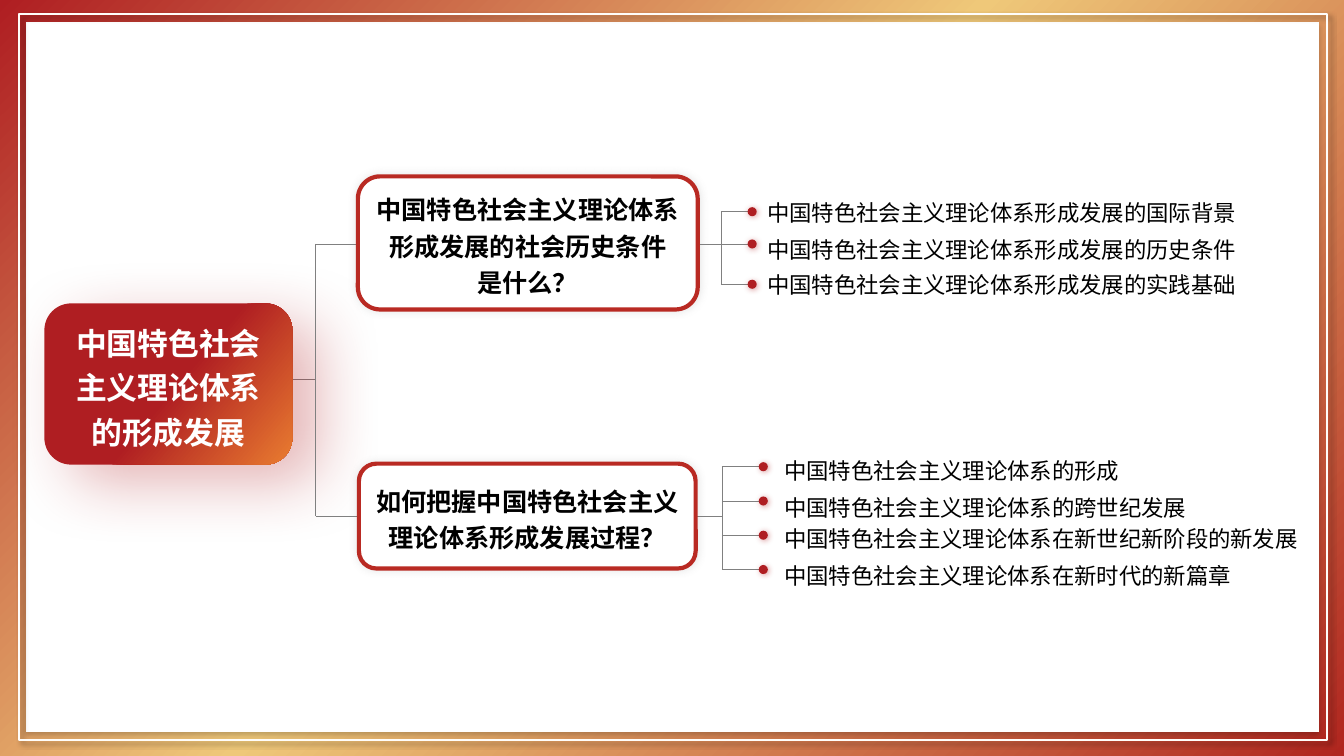
from dataclasses import dataclass
from typing import Optional

from lxml.etree import SubElement
from pptx import Presentation
from pptx.dml.color import RGBColor
from pptx.enum.shapes import MSO_CONNECTOR as Connector
from pptx.enum.shapes import MSO_SHAPE as Preset
from pptx.enum.text import MSO_ANCHOR as Anchor
from pptx.enum.text import PP_ALIGN as Align
from pptx.oxml.ns import qn
from pptx.util import Inches, Pt

FONT = "Noto Sans CJK SC"
RED, ORANGE, BORDER = "AF1E22", "E97C30", "B92A23"
WHITE, BLACK, GRAY = "FFFFFF", "000000", "808080"
DOT_SIZE = 0.09
TRUNK_X = 3.13


@dataclass
class Shadow:
    color: str
    opacity: int
    blur: float
    distance: float
    angle: int


@dataclass
class Gradient:
    stops: list[tuple[int, str]]
    angle: int


@dataclass
class Area:
    left: float
    top: float
    width: float
    height: float

    def lengths(self) -> list[int]:
        return [Inches(n) for n in (self.left, self.top, self.width, self.height)]


@dataclass
class Topic:
    text: str
    line_y: float
    text_top: float


@dataclass
class Branch:
    question: list[str]
    area: Area
    stem_y: float
    spine_x: float
    dot_x: float
    text_left: float
    text_width: float
    text_height: float
    spacing: float
    topics: list[Topic]


BRANCHES = [
    Branch(
        ["中国特色社会主义理论体系形成发展的社会历史条件", "是什么？"],
        Area(3.55, 1.75, 3.37, 1.32), 2.42, 7.15, 7.46, 7.51, 5.41, 0.37, 1.0,
        [
            Topic("中国特色社会主义理论体系形成发展的国际背景", 2.1, 1.93),
            Topic("中国特色社会主义理论体系形成发展的历史条件", 2.42, 2.29),
            Topic("中国特色社会主义理论体系形成发展的实践基础", 2.82, 2.64),
        ],
    ),
    Branch(
        ["如何把握中国特色社会主义理论体系形成发展过程？"],
        Area(3.56, 4.6, 3.34, 1.04), 5.12, 7.16, 7.57, 7.68, 5.49, 0.46, 1.5,
        [
            Topic("中国特色社会主义理论体系的形成", 4.63, 4.35),
            Topic("中国特色社会主义理论体系的跨世纪发展", 4.97, 4.72),
            Topic("中国特色社会主义理论体系在新世纪新阶段的新发展", 5.31, 5.03),
            Topic("中国特色社会主义理论体系在新时代的新篇章", 5.65, 5.39),
        ],
    ),
]


def rgb(color: str) -> RGBColor:
    return RGBColor.from_string(color)


def add_gradient(shape, gradient: Gradient) -> None:
    shape.fill.gradient()
    grad = shape._element.spPr.find(qn("a:gradFill"))
    for child in list(grad):
        grad.remove(child)
    stops = SubElement(grad, qn("a:gsLst"))
    for position, color in gradient.stops:
        stop = SubElement(stops, qn("a:gs"), pos=str(position * 1000))
        SubElement(stop, qn("a:srgbClr"), val=color)
    SubElement(grad, qn("a:lin"), ang=str(gradient.angle * 60000), scaled="0")


def add_shadow(shape, shadow: Shadow) -> None:
    effects = shape._element.spPr.find(qn("a:effectLst"))
    outer = SubElement(
        effects, qn("a:outerShdw"), blurRad=str(Pt(shadow.blur)),
        dist=str(Pt(shadow.distance)), dir=str(shadow.angle * 60000),
        algn="ctr", rotWithShape="0",
    )
    color = SubElement(outer, qn("a:srgbClr"), val=shadow.color)
    SubElement(color, qn("a:alpha"), val=str(shadow.opacity * 1000))


def draw_shape(page, preset, area: Area, fill: str | Gradient | None = None,
               line: Optional[str] = None, line_width: float = 1,
               shadow: Optional[Shadow] = None):
    shape = page.shapes.add_shape(preset, *area.lengths())
    if isinstance(fill, Gradient):
        add_gradient(shape, fill)
    elif fill:
        shape.fill.solid()
        shape.fill.fore_color.rgb = rgb(fill)
    else:
        shape.fill.background()
    if line:
        shape.line.color.rgb = rgb(line)
        shape.line.width = Pt(line_width)
    else:
        shape.line.fill.background()
    shape.shadow.inherit = False
    if shadow:
        add_shadow(shape, shadow)
    return shape


def draw_line(page, x1: float, y1: float, x2: float, y2: float) -> None:
    line = page.shapes.add_connector(
        Connector.STRAIGHT, Inches(x1), Inches(y1), Inches(x2), Inches(y2))
    line.line.color.rgb = rgb(GRAY)
    line.line.width = Pt(0.5)
    SubElement(line._element.spPr, qn("a:effectLst"))


def write(box, lines: list[str], size: int, color: str, spacing: float,
          bold: bool = False, align=Align.LEFT) -> None:
    frame = box.text_frame
    frame.word_wrap = True
    for index, text in enumerate(lines):
        para = frame.add_paragraph() if index else frame.paragraphs[0]
        para.text = text
        para.alignment = align
        para.line_spacing = spacing
        para.font.name = FONT
        para.font.size = Pt(size)
        para.font.bold = bold
        para.font.color.rgb = rgb(color)
        SubElement(para._p.pPr.find(qn("a:defRPr")), qn("a:ea"), typeface=FONT)


def draw_frame(page) -> None:
    backdrop = Gradient([(0, "B0261F"), (53, "EFC879"), (100, RED)], 225)
    draw_shape(page, Preset.RECTANGLE, Area(0, 0, 13.33, 7.5), backdrop)
    draw_shape(page, Preset.RECTANGLE, Area(0.26, 0.22, 12.82, 7.04), WHITE,
               shadow=Shadow(BLACK, 20, 4, 3, 90))
    draw_shape(page, Preset.RECTANGLE, Area(0.19, 0.14, 12.97, 7.2),
               line="FFFDFA", line_width=1.5, shadow=Shadow(BLACK, 40, 4, 3, 45))


def draw_root(page) -> None:
    draw_line(page, 2.9, 3.76, TRUNK_X, 3.76)
    root = draw_shape(page, Preset.ROUNDED_RECTANGLE, Area(0.44, 3.01, 2.46, 1.6),
                      Gradient([(52, RED), (100, ORANGE)], 40),
                      shadow=Shadow(RED, 33, 46, 23, 35))
    root.text_frame.vertical_anchor = Anchor.MIDDLE
    write(root, ["中国特色社会主义理论体系的形成发展"], 22, WHITE, 1.2, True, Align.CENTER)
    draw_line(page, TRUNK_X, BRANCHES[0].stem_y, TRUNK_X, BRANCHES[-1].stem_y)


def draw_branch(page, branch: Branch) -> None:
    area, spine, topics = branch.area, branch.spine_x, branch.topics
    draw_line(page, TRUNK_X, branch.stem_y, area.left, branch.stem_y)
    draw_line(page, area.left + area.width, branch.stem_y, spine, branch.stem_y)
    draw_line(page, spine, topics[0].line_y, spine, topics[-1].line_y)
    question = draw_shape(page, Preset.ROUNDED_RECTANGLE, area, WHITE, BORDER, 3,
                          Shadow(GRAY, 20, 6, 0, 315))
    question.text_frame.vertical_anchor = Anchor.MIDDLE
    write(question, branch.question, 18, BLACK, 1.2, True, Align.CENTER)
    for topic in topics:
        draw_line(page, spine, topic.line_y, branch.dot_x, topic.line_y)
        dot = Area(branch.dot_x - DOT_SIZE / 2, topic.line_y - DOT_SIZE / 2,
                   DOT_SIZE, DOT_SIZE)
        draw_shape(page, Preset.OVAL, dot, RED, shadow=Shadow(RED, 40, 4, 1, 45))
        label = Area(branch.text_left, topic.text_top, branch.text_width, branch.text_height)
        box = page.shapes.add_textbox(*label.lengths())
        write(box, [topic.text], 16, BLACK, branch.spacing)


def main() -> None:
    deck = Presentation()
    deck.slide_width, deck.slide_height = Inches(13.33), Inches(7.5)
    page = deck.slides.add_slide(deck.slide_layouts[6])
    draw_frame(page)
    draw_root(page)
    for branch in BRANCHES:
        draw_branch(page, branch)
    deck.save("out.pptx")


if __name__ == "__main__":
    main()
